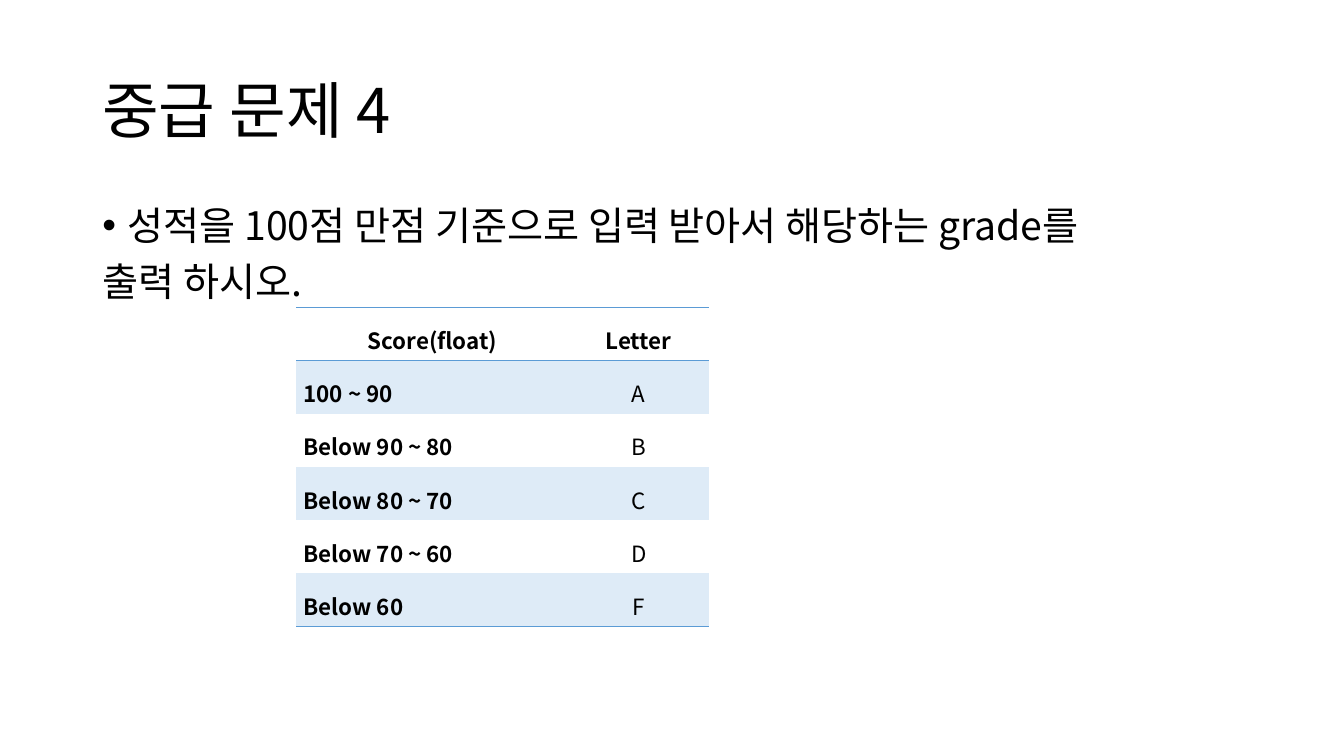
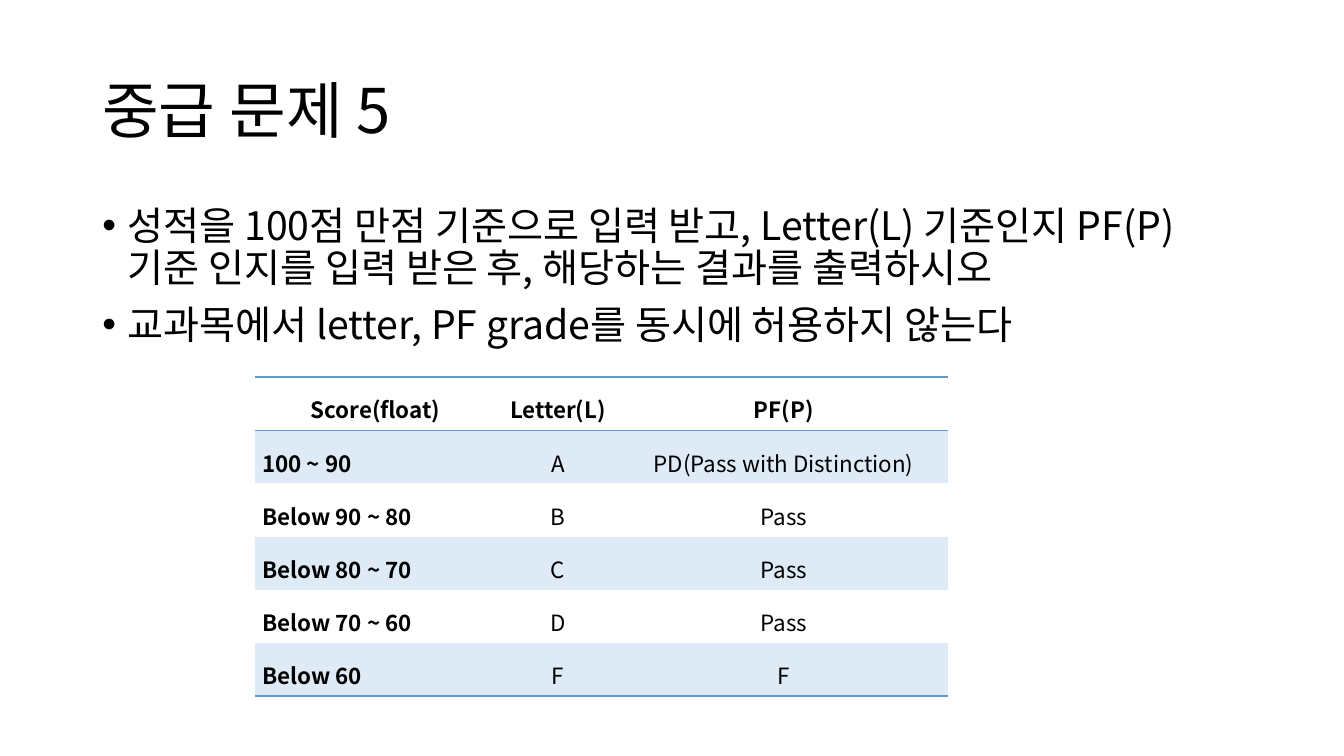
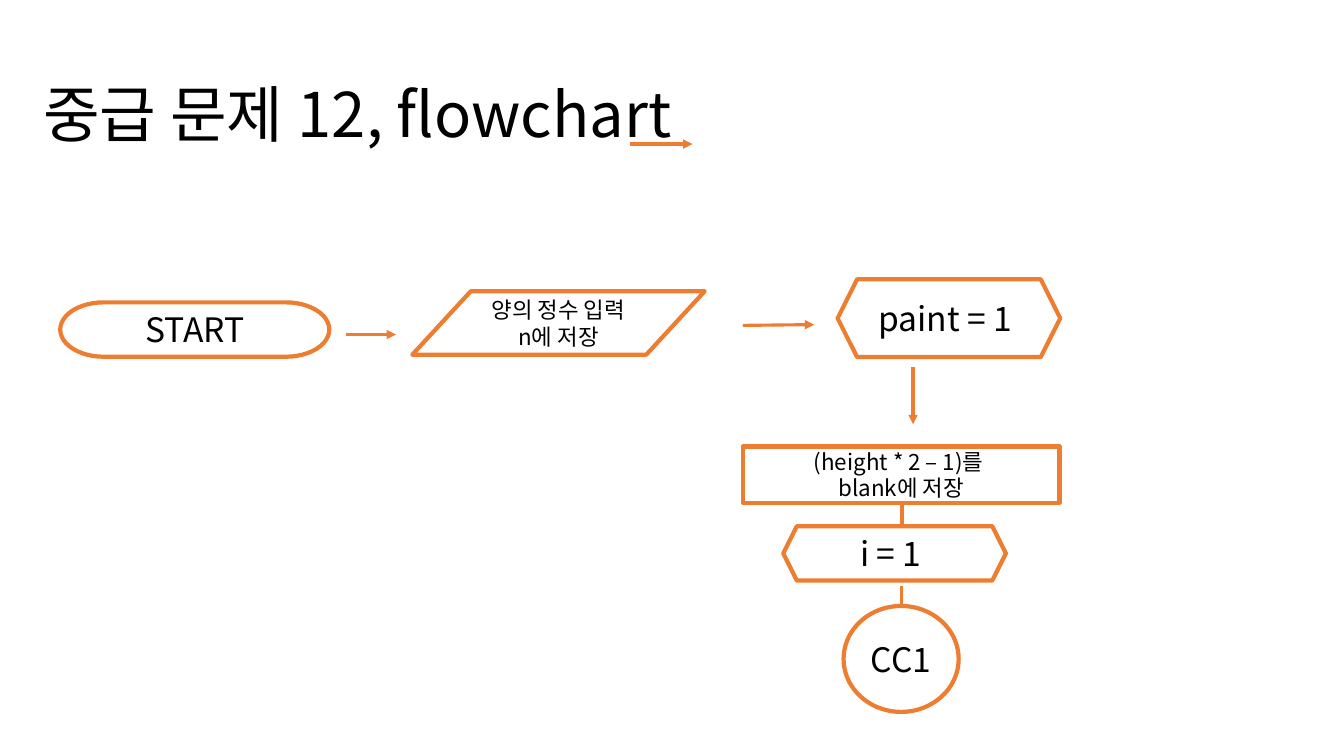
"""Build three slides: two grading exercises and a flowchart."""
from lxml import etree
from pptx import Presentation
from pptx.dml.color import RGBColor
from pptx.enum import shapes, text
from pptx.oxml import ns
from pptx.util import Cm, Pt

COLORS = {"text": "000000", "paper": "FFFFFF", "band": "DEEBF7",
          "rule": "5B9BD5", "flow": "ED7D31"}
RGB = {name: RGBColor.from_string(value) for name, value in COLORS.items()}
FONT = "Noto Sans CJK KR"
NO_STYLE = "{2D5ABB26-0587-4C30-8999-92F81FD0307C}"
CENTER, JUSTIFY = text.PP_ALIGN.CENTER, text.PP_ALIGN.JUSTIFY


def sub(parent, tag, **attrs):
    return etree.SubElement(parent, ns.qn(tag), **attrs)


def write(tf, lines, size, align=None, spacing=None, before=0, bold=False, bullets=0):
    tf.word_wrap = True
    for i, line in enumerate(lines):
        p = tf.add_paragraph() if i else tf.paragraphs[0]
        p.alignment = align
        p.line_spacing = spacing
        if i and before:
            p.space_before = Pt(before)
        if i < bullets:
            pPr = p._p.get_or_add_pPr()
            pPr.set("marL", str(Cm(0.64)))
            pPr.set("indent", str(-Cm(0.64)))
            sub(pPr, "a:buFont", typeface="Arial")
            sub(pPr, "a:buChar", char="•")
        r = p.add_run()
        r.text = line
        r.font.size = Pt(size)
        r.font.bold = bold
        r.font.color.rgb = RGB["text"]
        r.font.name = FONT
        sub(r._r.get_or_add_rPr(), "a:ea", typeface=FONT)


prs = Presentation()
prs.slide_width, prs.slide_height = Cm(33.87), Cm(19.05)

titles = [("중급 문제 4", 2.33, 1.01), ("중급 문제 5", 2.33, 1.01),
          ("중급 문제 12, flowchart", 0.84, 1.12)]
for title, x, y in titles:
    s = prs.slides.add_slide(prs.slide_layouts[6])
    tf = s.shapes.add_textbox(Cm(x), Cm(y), Cm(29.21), Cm(3.68)).text_frame
    tf.vertical_anchor = text.MSO_ANCHOR.MIDDLE
    write(tf, [title], 44, spacing=0.9)

scores = ["100 ~ 90", "Below 90 ~ 80", "Below 80 ~ 70", "Below 70 ~ 60", "Below 60"]
letters = ["A", "B", "C", "D", "F"]
passes = ["PD(Pass with Distinction)", "Pass", "Pass", "Pass", "F"]
exercises = [
    (["성적을 100점 만점 기준으로 입력 받아서 해당하는 grade를", "출력 하시오."], 1,
     7.47, 7.75, [6.86, 3.53],
     [("Score(float)", "Letter"), *zip(scores, letters)]),
    (["성적을 100점 만점 기준으로 입력 받고, Letter(L) 기준인지 PF(P) 기준 인지를 "
      "입력 받은 후, 해당하는 결과를 출력하시오",
      "교과목에서 letter, PF grade를 동시에 허용하지 않는다"], 2,
     6.43, 9.5, [6.07, 3.12, 8.26],
     [("Score(float)", "Letter(L)", "PF(P)"), *zip(scores, letters, passes)]),
]
for s, (lines, bullets, x, y, widths, rows) in zip(prs.slides, exercises):
    tf = s.shapes.add_textbox(Cm(2.33), Cm(5.08), Cm(29.21), Cm(12.09)).text_frame
    write(tf, lines, 28, spacing=0.9, before=10, bullets=bullets)
    tbl = s.shapes.add_table(len(rows), len(widths), Cm(x), Cm(y),
                             Cm(sum(widths)), Cm(1.34 * len(rows))).table
    tbl._tbl.tblPr.find(ns.qn("a:tableStyleId")).text = NO_STYLE
    for col, width in zip(tbl.columns, widths):
        col.width = Cm(width)
    for i, row in enumerate(rows):
        tbl.rows[i].height = Cm(1.34)
        edges = {0: ["a:lnT", "a:lnB"], len(rows) - 1: ["a:lnB"]}.get(i, [])
        for j, value in enumerate(row):
            cell = tbl.cell(i, j)
            cell.margin_left = cell.margin_right = Cm(0.18)
            cell.margin_top = cell.margin_bottom = 0
            for edge in edges:
                ln = sub(cell._tc.get_or_add_tcPr(), edge, w=str(Pt(1)))
                sub(sub(ln, "a:solidFill"), "a:srgbClr", val=COLORS["rule"])
            if i % 2:
                cell.fill.solid()
                cell.fill.fore_color.rgb = RGB["band"]
            else:
                cell.fill.background()
            write(cell.text_frame, [value], 16, JUSTIFY if i and not j else CENTER,
                  spacing=1.5, bold=not (i and j))

s = prs.slides[2]
arrows = [(8.71, 8.43, 9.98, 8.43), (15.88, 3.63, 17.45, 3.63),
          (18.72, 8.2, 20.52, 8.18), (23.01, 9.25, 23.01, 10.69),
          (22.73, 12.65, 22.73, 14.1), (22.71, 14.76, 22.71, 15.65)]
for ends in arrows:
    cxn = s.shapes.add_connector(shapes.MSO_CONNECTOR.STRAIGHT, *map(Cm, ends))
    cxn.line.color.rgb = RGB["flow"]
    cxn.line.width = Pt(2.25)
    sub(cxn.line._get_or_add_ln(), "a:tailEnd", type="triangle")
    sub(cxn._element.spPr, "a:effectLst")

kinds = shapes.MSO_SHAPE
nodes = [
    (kinds.FLOWCHART_TERMINATOR, 1.52, 7.62, 6.78, 1.37, 24, ["START"]),
    (kinds.FLOWCHART_DATA, 10.39, 7.34, 7.37, 1.6, 16, ["양의 정수 입력", "n에 저장"]),
    (kinds.HEXAGON, 21.11, 7.04, 5.61, 1.96, 24, ["paint = 1 "]),
    (kinds.RECTANGLE, 18.72, 11.25, 7.98, 1.42, 16, ["(height * 2 – 1)를 ", "blank에 저장"]),
    (kinds.HEXAGON, 19.74, 13.26, 5.61, 1.37, 24, ["i = 1 "]),
    (kinds.OVAL, 21.26, 15.27, 2.9, 2.67, 24, ["CC1"]),
]
for kind, x, y, w, h, size, lines in nodes:
    sp = s.shapes.add_shape(kind, Cm(x), Cm(y), Cm(w), Cm(h))
    sp.shadow.inherit = False
    sp.fill.solid()
    sp.fill.fore_color.rgb = RGB["paper"]
    sp.line.color.rgb = RGB["flow"]
    sp.line.width = Pt(3)
    sp.text_frame.vertical_anchor = text.MSO_ANCHOR.MIDDLE
    write(sp.text_frame, lines, size, CENTER)

prs.save("out.pptx")
